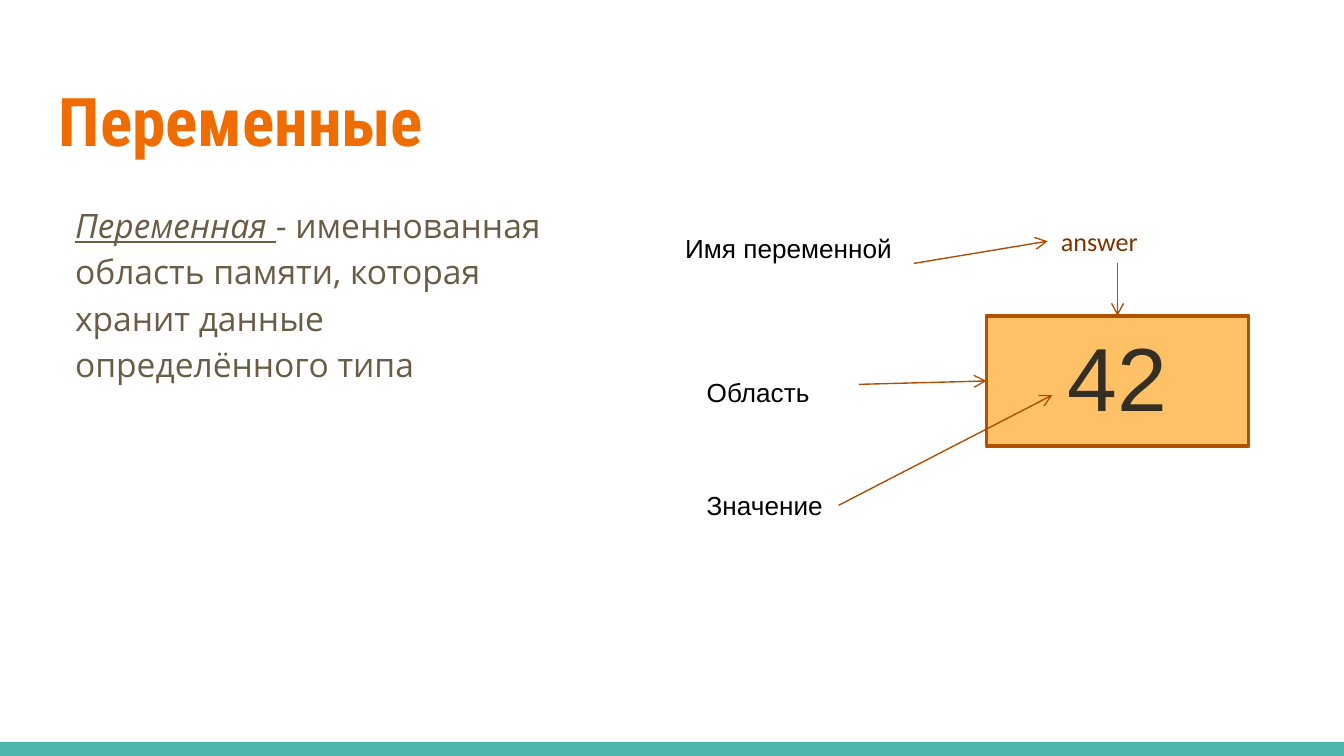
import pptx
import pptx.util
import pptx.dml.color
import pptx.enum.shapes
import pptx.enum.text
import pptx.oxml.ns
import lxml.etree

Inches = pptx.util.Inches
Pt = pptx.util.Pt
Shape = pptx.enum.shapes.MSO_SHAPE
Align = pptx.enum.text.PP_ALIGN
Anchor = pptx.enum.text.MSO_ANCHOR
qn = pptx.oxml.ns.qn

COLORS = {
    "title": "EF6C00", "body": "695D46", "strip": "4DB6AC",
    "cell": "FFC166", "edge": "B15000", "value": "342E23",
    "label": "000000", "name": "783600", "arrow": "AD4E00",
}


def color(key):
    """Return the palette colour called key."""
    return pptx.dml.color.RGBColor.from_string(COLORS[key])


def write(par, text, size=14, font="Arial", ink="label", **style):
    """Add a run of text; style takes bold, italic and underline."""
    run = par.add_run()
    run.text = text
    run.font.size = Pt(size)
    run.font.name = font
    run.font.color.rgb = color(ink)
    for key, value in style.items():
        setattr(run.font, key, value)


def field(slide, box, inset=None):
    """Add a wrapping text box and return its first paragraph."""
    frame = slide.shapes.add_textbox(*map(Inches, box)).text_frame
    frame.word_wrap = True
    frame.vertical_anchor = Anchor.TOP
    if inset is not None:
        frame.margin_left = frame.margin_right = Inches(inset)
        frame.margin_top = frame.margin_bottom = Inches(inset)
    return frame.paragraphs[0]


def block(slide, kind, box, fill, edge=None):
    """Add a flat filled shape, outlined if edge is given."""
    shape = slide.shapes.add_shape(kind, *map(Inches, box))
    shape.shadow.inherit = False
    shape.fill.solid()
    shape.fill.fore_color.rgb = color(fill)
    if edge:
        shape.line.color.rgb = color(edge)
        shape.line.width = Pt(2)
    else:
        shape.line.fill.background()
    return shape


def arrow(slide, start, end):
    """Draw a thin line with an open arrowhead at its end."""
    line = slide.shapes.add_connector(
        pptx.enum.shapes.MSO_CONNECTOR.STRAIGHT, *map(Inches, start + end))
    line.line.color.rgb = color("arrow")
    line.line.width = Pt(0.75)
    props = line.line._get_or_add_ln()
    lxml.etree.SubElement(props, qn("a:tailEnd"), type="arrow")
    lxml.etree.SubElement(line._element.spPr, qn("a:effectLst"))


def title(slide, box):
    """Place the heading."""
    write(field(slide, box, 0.1), "Переменные", size=36,
          font="Roboto Condensed", ink="title", bold=True)


def body(slide, box):
    """Place the definition with its term underlined."""
    par = field(slide, box, 0.1)
    par.line_spacing = 1.15
    props = par._p.get_or_add_pPr()
    props.set("marL", str(Inches(0.12)))
    props.set("indent", "0")
    look = dict(size=18, font="Open Sans", ink="body")
    write(par, "Переменная ", italic=True, underline=True, **look)
    write(par, "- именнованная область памяти, которая хранит данные "
          "определённого типа", italic=False, underline=False, **look)


def diagram(slide, box):
    """Place the memory cell, its labels and the arrows between them."""
    left, top, wide, high = box
    cell_w, cell_h = 1.95, 0.97
    cell_x, cell_y = left + wide - cell_w, top + 0.72
    mid = cell_x + cell_w / 2
    cell = block(slide, Shape.FLOWCHART_PROCESS,
                 (cell_x, cell_y, cell_w, cell_h), "cell", "edge")
    cell.text_frame.vertical_anchor = Anchor.MIDDLE
    cell.text_frame.margin_bottom = Inches(0.13)
    par = cell.text_frame.paragraphs[0]
    par.alignment = Align.CENTER
    write(par, "42", size=48, ink="value")

    labels = [
        ("Имя переменной", 0, 0.05, 1.8, 0.57),
        ("Область", 0.16, 1.12, 1.25, 0.33),
        ("Значение", 0.16, high - 0.33, 1.08, 0.33),
    ]
    for text, x, y, w, h in labels:
        write(field(slide, (left + x, top + y, w, h)), text)
    name_w, name_h = 1.04, 0.33
    name_x = mid - name_w / 2
    write(field(slide, (name_x, top, name_w, name_h)), "answer",
          font="Calibri", ink="name")

    arrow(slide, (mid, top + name_h), (mid, cell_y))
    arrow(slide, (left + 1.8, top + name_h), (name_x, top + name_h / 2))
    arrow(slide, (left + 1.39, top + 1.23), (cell_x, cell_y + cell_h / 2))
    arrow(slide, (left + 1.24, top + high - 0.16),
          (cell_x + 0.49, cell_y + 0.59))


def main():
    """Build and save the slide."""
    deck = pptx.Presentation()
    deck.slide_width = Inches(10)
    deck.slide_height = Inches(10) * 9 // 16
    slide = deck.slides.add_slide(deck.slide_layouts[6])
    block(slide, Shape.RECTANGLE, (0, 5.52, 10, 0.11), "strip")
    title(slide, (0.34, 0.49, 9.32, 0.77))
    body(slide, (0.34, 1.38, 4.07, 3.61))
    diagram(slide, (5, 1.63, 4.29, 2.29))
    deck.save("out.pptx")


main()
